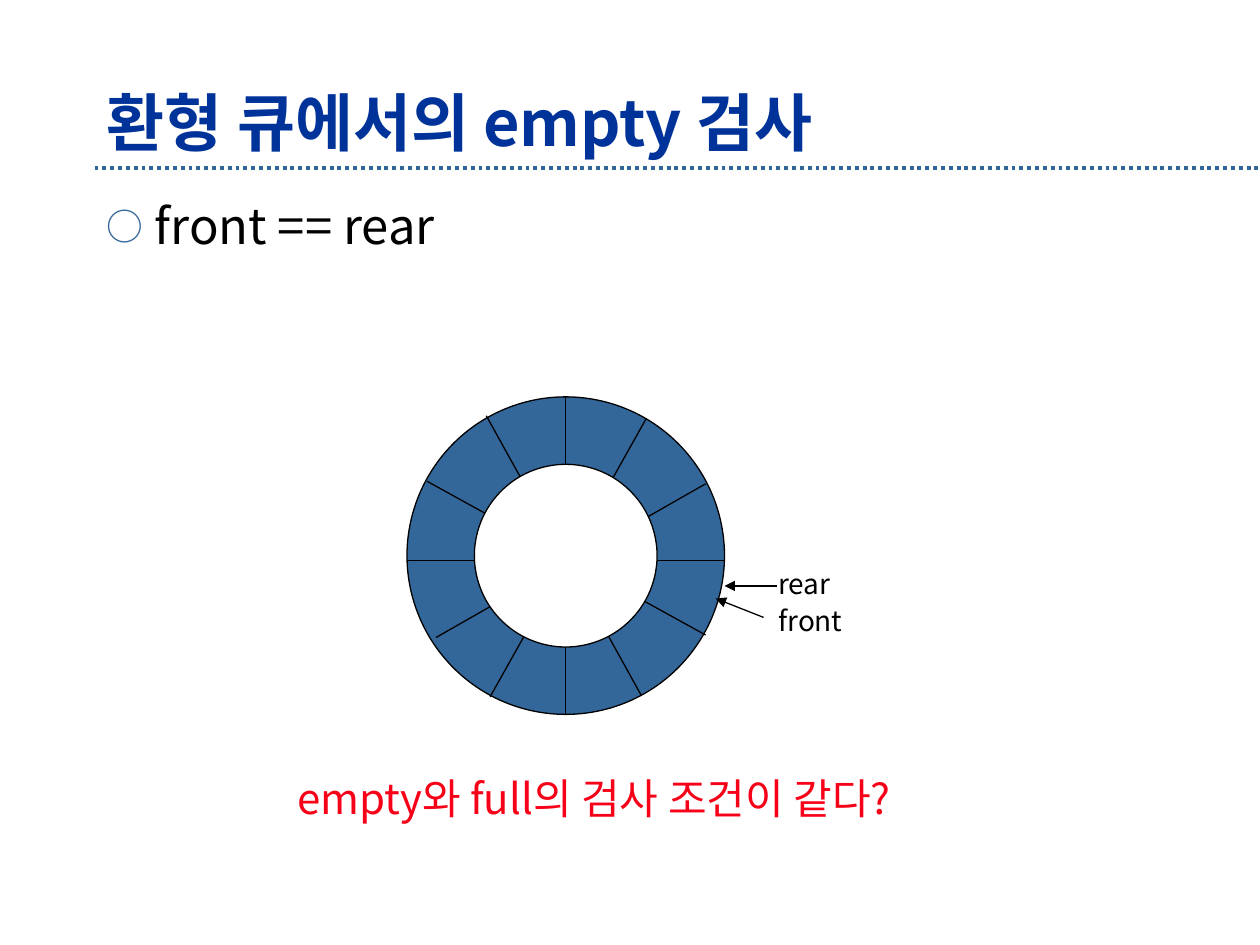
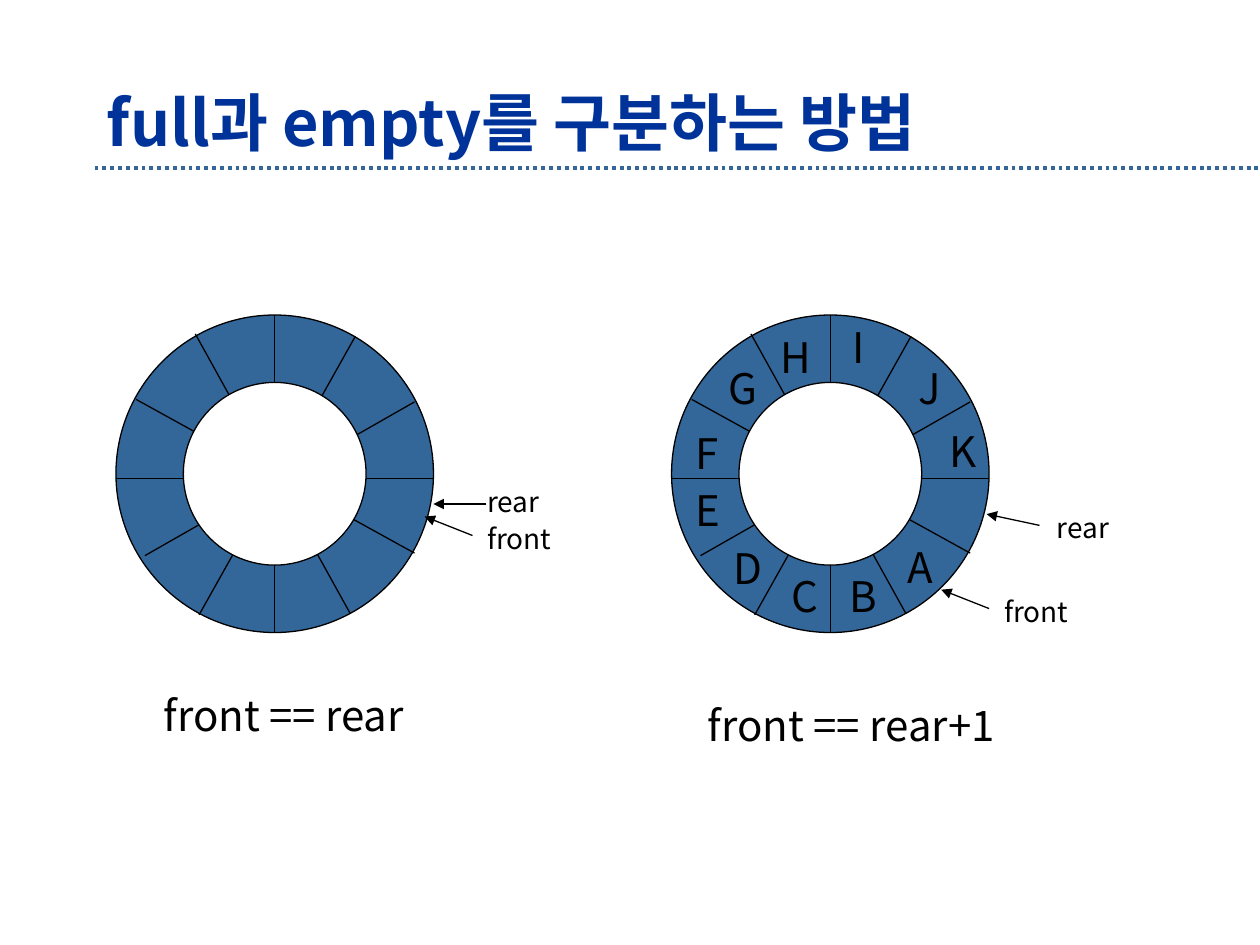
from dataclasses import dataclass

import pptx
import pptx.dml.color
import pptx.enum.dml
import pptx.enum.shapes
import pptx.enum.text
import pptx.oxml.ns
import pptx.util
from lxml import etree
from pptx.util import Inches

FONT = "Noto Sans CJK KR"
COLOURS = {
    "title": "003399",
    "accent": "336699",
    "ink": "000000",
    "paper": "FFFFFF",
    "alert": "F70118",
}
RING_SIZE = 2.52
HOLE_SIZE = 1.45
HOLE_OFFSET = (RING_SIZE - HOLE_SIZE) / 2
LETTER_HEIGHT = 0.5


@dataclass(frozen=True)
class Segment:
    x1: float
    y1: float
    x2: float
    y2: float


@dataclass(frozen=True)
class Pointer:
    """A label with its arrow; the arrow is measured from the label's corner."""
    label: str
    left: float
    top: float
    width: float
    arrow: Segment


@dataclass(frozen=True)
class Letter:
    text: str
    left: float
    top: float
    width: float


# Everything in a ring is measured from the ring's top left corner.
SPOKES = (
    Segment(1.26, 0, 1.26, RING_SIZE),
    Segment(0, 1.3, RING_SIZE, 1.3),
    Segment(1.9, 0.17, 0.66, 2.38),
    Segment(2.37, 0.69, 0.23, 1.91),
    Segment(0.63, 0.15, 1.86, 2.37),
    Segment(0.16, 0.67, 2.37, 1.89),
)
FRONT_ARROW = Segment(-0.02, 0.16, -0.4, 0.01)
EMPTY_POINTERS = (
    Pointer("front", 2.85, 1.59, 0.72, FRONT_ARROW),
    Pointer("rear", 2.85, 1.3, 0.63, Segment(0.09, 0.2, -0.33, 0.2)),
)
FULL_POINTERS = (
    Pointer("front", 2.54, 2.17, 0.72, FRONT_ARROW),
    Pointer("rear", 2.96, 1.5, 0.63, Segment(-0.04, 0.17, -0.46, 0.08)),
)
QUEUE_LETTERS = (
    Letter("A", 1.77, 1.75, 0.41),
    Letter("B", 1.31, 1.98, 0.41),
    Letter("C", 0.85, 1.98, 0.41),
    Letter("D", 0.39, 1.76, 0.44),
    Letter("E", 0.09, 1.3, 0.38),
    Letter("F", 0.09, 0.84, 0.37),
    Letter("G", 0.35, 0.33, 0.44),
    Letter("H", 0.77, 0.08, 0.44),
    Letter("I", 1.34, 0, 0.31),
    Letter("J", 1.86, 0.33, 0.29),
    Letter("K", 2.11, 0.83, 0.4),
)


def rgb(colour: str) -> pptx.dml.color.RGBColor:
    return pptx.dml.color.RGBColor.from_string(COLOURS[colour])


def add_child(parent, tag: str, **attributes: str):
    child = etree.SubElement(parent, pptx.oxml.ns.qn(tag))
    for name, value in attributes.items():
        child.set(name, value)
    return child


def add_text(page, text: str, left: float, top: float, width: float, height: float, *,
             size: float = 24, colour: str = "ink", bold: bool = False,
             wrap: bool = False, middle: bool = False):
    """Place one paragraph of text and return the paragraph."""
    box = page.shapes.add_textbox(Inches(left), Inches(top), Inches(width), Inches(height))
    frame = box.text_frame
    frame.word_wrap = wrap
    anchors = pptx.enum.text.MSO_ANCHOR
    frame.vertical_anchor = anchors.MIDDLE if middle else anchors.TOP
    para = frame.paragraphs[0]
    span = para.add_run()
    span.text = text
    span.font.name = FONT
    span.font.size = pptx.util.Pt(size)
    span.font.bold = bold
    span.font.color.rgb = rgb(colour)
    add_child(span.font._element, "a:ea", typeface=FONT)
    return para


def add_line(page, segment: Segment, left: float = 0, top: float = 0, *,
             colour: str = "ink", width: float = 0.75, arrow: bool = False):
    line = page.shapes.add_connector(
        pptx.enum.shapes.MSO_CONNECTOR.STRAIGHT,
        Inches(left + segment.x1), Inches(top + segment.y1),
        Inches(left + segment.x2), Inches(top + segment.y2))
    line.line.color.rgb = rgb(colour)
    line.line.width = pptx.util.Pt(width)
    if arrow:
        add_child(line.line._get_or_add_ln(), "a:tailEnd", type="triangle")
    add_child(line._element.spPr, "a:effectLst")
    return line


def add_circle(page, left: float, top: float, size: float, fill: str) -> None:
    circle = page.shapes.add_shape(
        pptx.enum.shapes.MSO_SHAPE.OVAL,
        Inches(left), Inches(top), Inches(size), Inches(size))
    circle.shadow.inherit = False
    circle.fill.solid()
    circle.fill.fore_color.rgb = rgb(fill)
    circle.line.color.rgb = rgb("ink")
    circle.line.width = pptx.util.Pt(0.75)


def add_ring(page, left: float, top: float, pointers: tuple[Pointer, ...],
             letters: tuple[Letter, ...] = ()) -> None:
    """Draw a circular queue of twelve cells."""
    add_circle(page, left, top, RING_SIZE, "accent")
    for spoke in SPOKES:
        add_line(page, spoke, left, top)
    add_circle(page, left + HOLE_OFFSET, top + HOLE_OFFSET, HOLE_SIZE, "paper")
    for letter in letters:
        add_text(page, letter.text, left + letter.left, top + letter.top,
                 letter.width, LETTER_HEIGHT)
    for pointer in pointers:
        x, y = left + pointer.left, top + pointer.top
        add_text(page, pointer.label, x, y, pointer.width, 0.37, size=16)
        add_line(page, pointer.arrow, x, y, arrow=True)


def add_bullet(para) -> None:
    para.space_before = pptx.util.Pt(7)
    properties = para._p.get_or_add_pPr()
    properties.set("marL", str(Inches(0.38)))
    properties.set("indent", str(Inches(-0.38)))
    add_child(add_child(properties, "a:buClr"), "a:srgbClr", val=COLOURS["accent"])
    add_child(properties, "a:buSzPct", val="75000")
    add_child(properties, "a:buFont", typeface=FONT)
    add_child(properties, "a:buChar", char="○")


def add_page(deck, title: str):
    """Add a blank page with the shared title and dotted rule."""
    page = deck.slides.add_slide(deck.slide_layouts[6])
    rule = add_line(page, Segment(0.75, 1.33, 10, 1.33), colour="accent", width=2.25)
    rule.line.dash_style = pptx.enum.dml.MSO_LINE.ROUND_DOT
    add_text(page, title, 0.75, 0.67, 8.58, 0.58,
             size=36, colour="title", bold=True, wrap=True, middle=True)
    return page


def build_empty_check(deck) -> None:
    page = add_page(deck, "환형 큐에서의 empty 검사")
    add_bullet(add_text(page, "front == rear", 0.75, 1.5, 8.67, 5.17, size=28, wrap=True))
    add_ring(page, 3.23, 3.15, EMPTY_POINTERS)
    add_text(page, "empty와 full의 검사 조건이 같다?", 2.26, 6.08, 5.28, 0.5,
             colour="alert", wrap=True)


def build_full_or_empty(deck) -> None:
    page = add_page(deck, "full과 empty를 구분하는 방법")
    add_ring(page, 0.92, 2.5, EMPTY_POINTERS)
    add_ring(page, 5.33, 2.5, FULL_POINTERS, QUEUE_LETTERS)
    add_text(page, "front == rear", 1.2, 5.42, 2.18, 0.5)
    add_text(page, "front == rear+1", 5.52, 5.5, 2.56, 0.5)


def main() -> None:
    deck = pptx.Presentation()
    deck.slide_width = Inches(10)
    deck.slide_height = Inches(7.5)
    build_empty_check(deck)
    build_full_or_empty(deck)
    deck.save("out.pptx")


if __name__ == "__main__":
    main()
